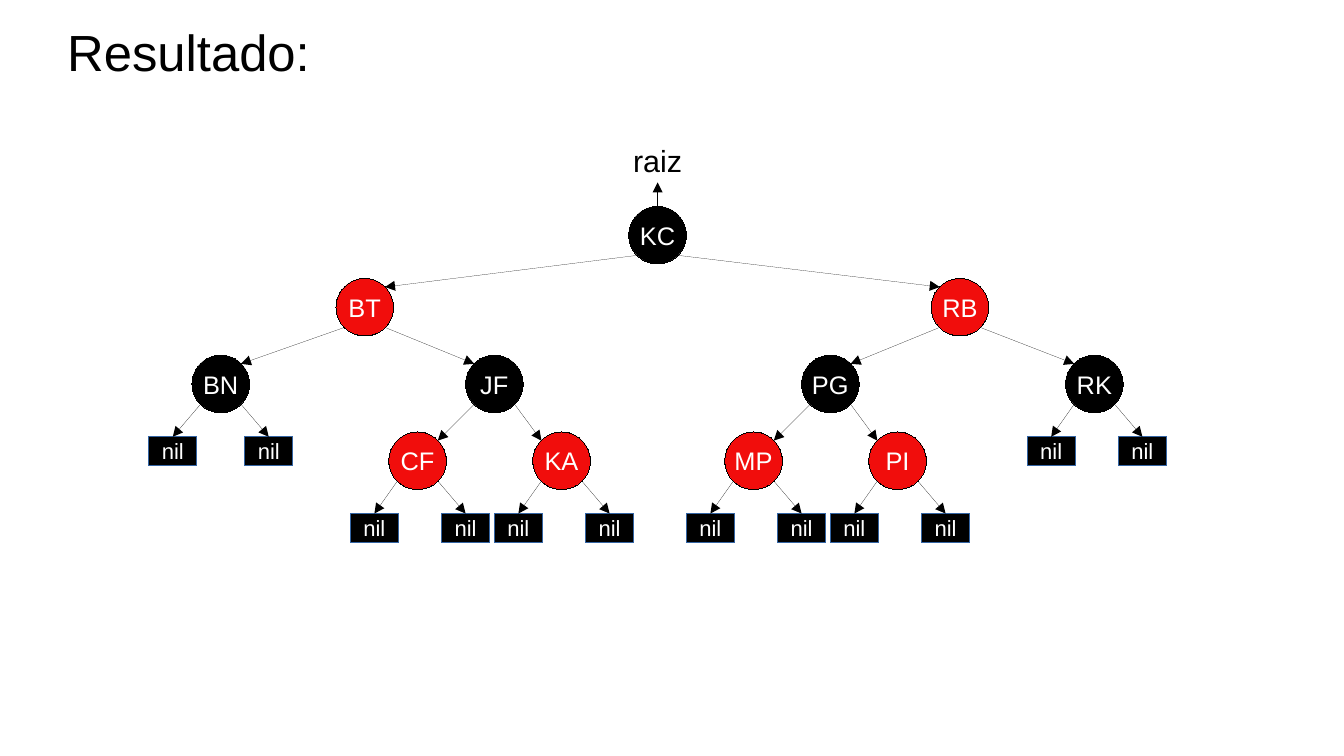
from lxml import etree
from pptx import Presentation
from pptx import util as u
from pptx.dml.color import RGBColor
from pptx.enum import shapes, text
from pptx.oxml.ns import qn

BLACK = RGBColor(0x00, 0x00, 0x00)
RED = RGBColor(0xF1, 0x0D, 0x0C)
BLUE = RGBColor(0x34, 0x65, 0xA4)
WHITE = RGBColor(0xFF, 0xFF, 0xFF)

HAIR = 0.01                   # hairline, pt; a width of 0 falls back to the theme
SIZE = 1.2                    # node diameter, cm
DIAG = 0.42                   # centre of a node to its rim at 45 degrees
ROWS = (0, 1.5, 3.1, 4.7)     # node tops below the top of the root
NIL_W, NIL_H, NIL_DROP = 1, 0.6, 1.7
LABEL_W, LABEL_H = 2.4, 0.96

# A node is (key, colour, shift from its parent, left child, right child);
# a number in place of a child is the shift of a nil leaf.
LEAVES = (-0.9, 1)
TREE = ("KC", BLACK, 0,
        ("BT", RED, -6.1,
         ("BN", BLACK, -3, -1, 1),
         ("JF", BLACK, 2.7,
          ("CF", RED, -1.6, *LEAVES),
          ("KA", RED, 1.4, *LEAVES))),
        ("RB", RED, 6.3,
         ("PG", BLACK, -2.7,
          ("MP", RED, -1.6, *LEAVES),
          ("PI", RED, 1.4, *LEAVES)),
         ("RK", BLACK, 2.8, *LEAVES)))


def write(frame, words, size, color, align=text.PP_ALIGN.CENTER):
    frame.vertical_anchor = text.MSO_ANCHOR.MIDDLE
    para = frame.paragraphs[0]
    para.alignment = align
    run = para.add_run()
    run.text = words
    run.font.name = "Arial"
    run.font.size = u.Pt(size)
    run.font.color.rgb = color


def shape(slide, kind, box, words, size, fill, edge):
    item = slide.shapes.add_shape(kind, *map(u.Cm, box))
    item.shadow.inherit = False
    item.fill.solid()
    item.fill.fore_color.rgb = fill
    item.line.color.rgb = edge
    item.line.width = u.Pt(HAIR)
    item.text_frame.word_wrap = False
    write(item.text_frame, words, size, WHITE)
    return item


def arrow(slide, start, end, width=HAIR):
    line = slide.shapes.add_connector(
        shapes.MSO_CONNECTOR.STRAIGHT, *map(u.Cm, start + end))
    line.line.color.rgb = BLACK
    line.line.width = u.Pt(width)
    tip = etree.SubElement(line.line._get_or_add_ln(), qn("a:tailEnd"))
    tip.set("type", "triangle")
    etree.SubElement(line._element.spPr, qn("a:effectLst"))
    return line


def leaf(slide, mid, top):
    box = (mid - NIL_W / 2, top, NIL_W, NIL_H)
    return shape(slide, shapes.MSO_SHAPE.RECTANGLE, box, "nil", 13, BLACK, BLUE)


def branch(slide, node, mid, top, level=0):
    """Draw a node centred on mid and all that hangs below it."""
    key, color, _, *kids = node
    y = top + ROWS[level]
    disc = shape(slide, shapes.MSO_SHAPE.OVAL,
                 (mid - SIZE / 2, y, SIZE, SIZE), key, 15, color, BLACK)
    for kid, side in zip(kids, (-1, 1)):
        start = (mid + side * DIAG, y + SIZE / 2 + DIAG)
        if isinstance(kid, tuple):
            x = mid + kid[2]
            branch(slide, kid, x, top, level + 1)
            rim = top + ROWS[level + 1] + SIZE / 2 - DIAG
            arrow(slide, start, (x - side * DIAG, rim))
        else:
            x, low = mid + kid, y + NIL_DROP
            nil = leaf(slide, x, low)
            arrow(slide, start, (x, low)).end_connect(nil, 0)
    return disc


def label(slide, box, words, size, align, inset):
    frame = slide.shapes.add_textbox(*map(u.Cm, box)).text_frame
    frame.word_wrap = True
    frame.margin_left = frame.margin_right = u.Cm(inset)
    frame.margin_top = frame.margin_bottom = u.Cm(inset)
    write(frame, words, size, BLACK, align)


def tree(slide, mid, top):
    """Draw the root label, its arrow and the tree, centred on mid."""
    label(slide, (mid - LABEL_W / 2, top, LABEL_W, LABEL_H),
          "raiz", 18, text.PP_ALIGN.CENTER, 0.1)
    crown = top + 1.45
    root = branch(slide, TREE, mid, crown)
    arrow(slide, (mid, crown), (mid, crown - 0.5), 1).begin_connect(root, 0)


def title(slide, box):
    label(slide, box, "Resultado:", 30, text.PP_ALIGN.LEFT, 0)


def main():
    deck = Presentation()
    deck.slide_width, deck.slide_height = u.Cm(28), u.Cm(15.75)
    slide = deck.slides.add_slide(deck.slide_layouts[6])
    title(slide, (1.4, -0.12, 6, 2.36))
    tree(slide, 13.7, 2.85)
    deck.save("out.pptx")


if __name__ == "__main__":
    main()
